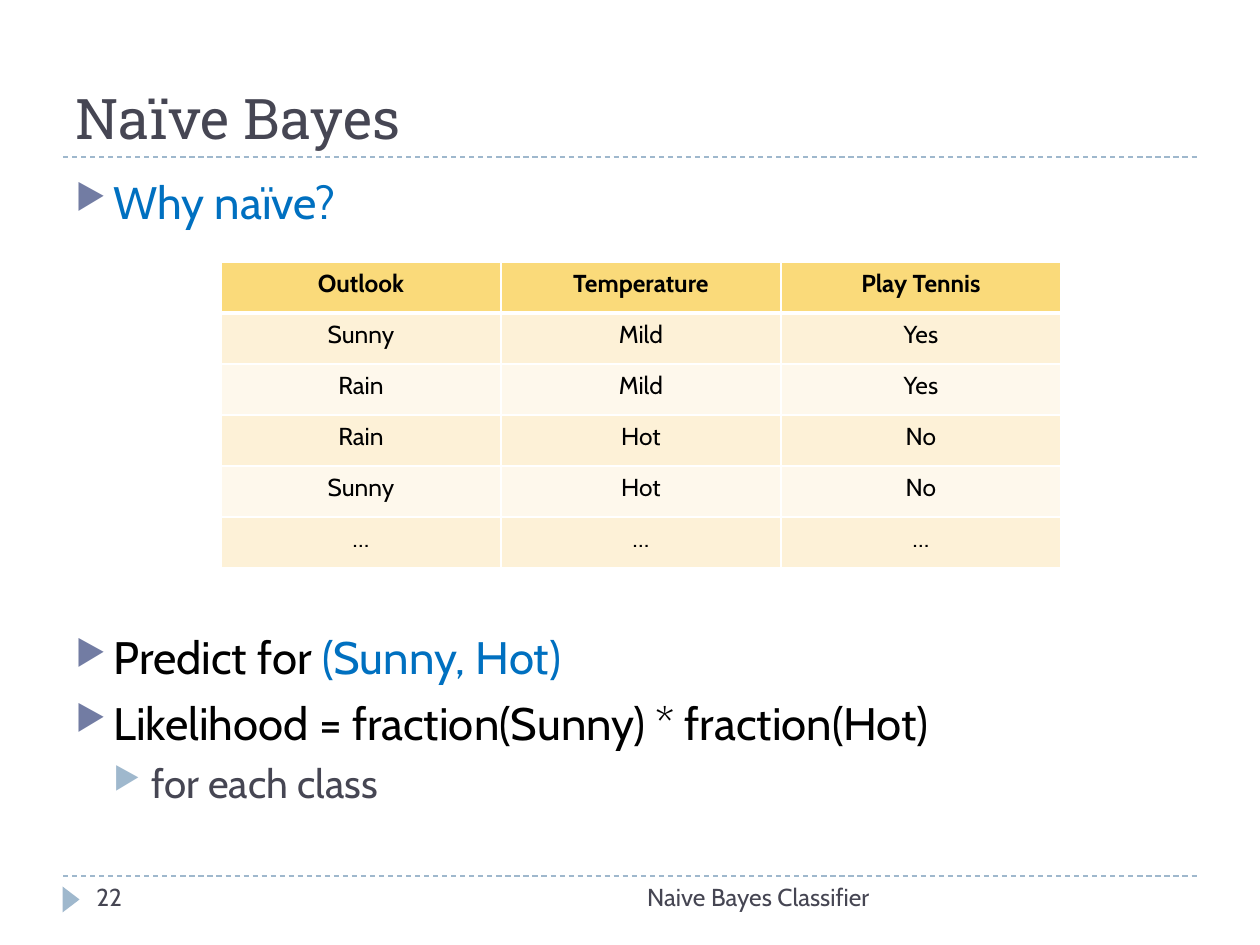
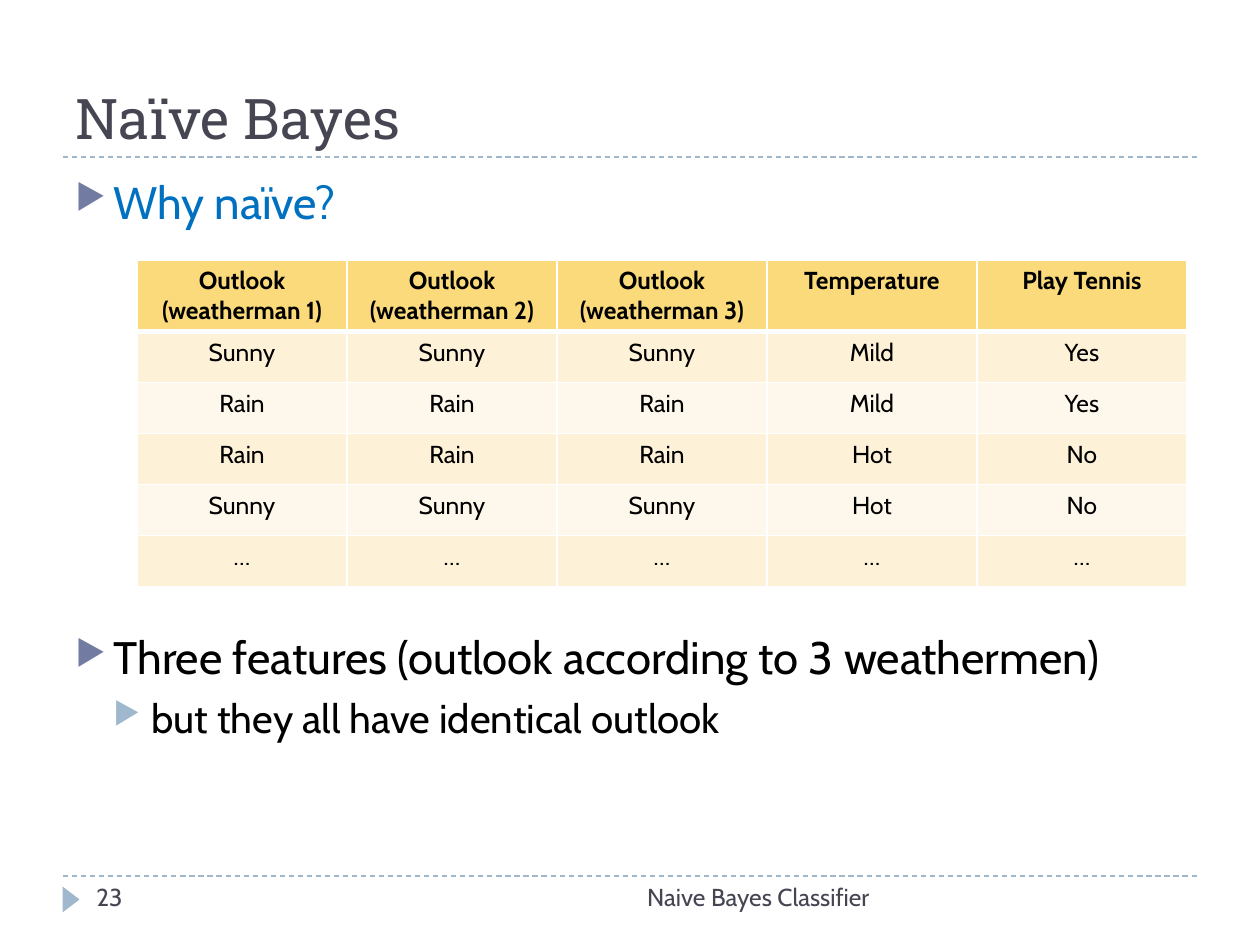
"""Two slides on why the naive Bayes classifier is called naive."""
from lxml import etree
from pptx import Presentation
from pptx.dml.color import RGBColor
from pptx.enum.dml import MSO_LINE
from pptx.enum.shapes import MSO_CONNECTOR, MSO_SHAPE
from pptx.enum.text import MSO_ANCHOR, PP_ALIGN
from pptx.oxml import parse_xml
from pptx.oxml.ns import qn
from pptx.util import Pt

LINE, DASH = MSO_CONNECTOR.STRAIGHT, MSO_LINE.DASH
TRI = MSO_SHAPE.ISOSCELES_TRIANGLE
TOP, BOTTOM = MSO_ANCHOR.TOP, MSO_ANCHOR.BOTTOM
LEFT, MID, RIGHT = PP_ALIGN.LEFT, PP_ALIGN.CENTER, PP_ALIGN.RIGHT
NS = "http://schemas.openxmlformats.org/drawingml/2006/main"
PX = 914400 / 126
HEAD, BODY = "Roboto Slab", "Cabin"
HEX = {
    "ink": "464653", "black": "000000", "blue": "0070C0", "steel": "9FB8CD",
    "slate": "727CA3", "white": "FFFFFF", "gold": "FADA7A",
    "sand": "FDF1D7", "cream": "FEF8EC",
}
COL = {name: RGBColor.from_string(code) for name, code in HEX.items()}
LEVELS = [(26, 6, "slate"), (23, 5, "steel")]
GAP = 229


def px(*nums):
    return [round(num * PX) for num in nums]


def style(font, name, size, hue, bold=False):
    font.name, font.size, font.bold = name, Pt(size), bold
    font.color.rgb = COL[hue]


pages = [
    {
        "num": "22",
        "points": [
            (0, 0, [("Why naïve?", "blue")]),
            (0, GAP, [("Predict for ", "black"), ("(Sunny, Hot)", "blue")]),
            (0, 6, [("Likelihood = fraction(Sunny) * fraction(Hot)", "black")]),
            (1, 5, [("for each class", "ink")]),
        ],
        "views": ["Outlook"],
        "spot": (221, 262), "wide": 280, "tall": 51,
    },
    {
        "num": "23",
        "points": [
            (0, 0, [("Why naïve?", "blue")]),
            (0, GAP, [("Three features (outlook according to 3 weathermen)", "black")]),
            (1, 5, [("but they all have identical outlook", "black")]),
        ],
        "views": [f"Outlook (weatherman {man})" for man in (1, 2, 3)],
        "spot": (137, 260), "wide": 210, "tall": 71,
    },
]
days = [
    ("Sunny", "Mild", "Yes"), ("Rain", "Mild", "Yes"), ("Rain", "Hot", "No"),
    ("Sunny", "Hot", "No"), ("…", "…", "…"),
]

deck = Presentation()
deck.slide_width, deck.slide_height = px(1260, 945)

for page in pages:
    slide = deck.slides.add_slide(deck.slide_layouts[6])
    shapes = slide.shapes

    for y in (876, 157):
        rule = shapes.add_connector(LINE, *px(63, y, 1197, y))
        rule.line.color.rgb = COL["steel"]
        rule.line.width = Pt(0.75)
        rule.line.dash_style = DASH
        etree.SubElement(rule.element.spPr, qn("a:effectLst"))

    mark = shapes.add_shape(TRI, *px(58, 891, 26, 17))
    mark.rotation = 90
    mark.shadow.inherit = False
    mark.fill.solid()
    mark.fill.fore_color.rgb = COL["steel"]
    mark.line.fill.background()

    for text, area, side, anchor, face, size in [
        ("Naïve Bayes", (63, 21, 1134, 136), LEFT, BOTTOM, HEAD, 32),
        ("Naive Bayes Classifier", (399, 876, 483, 50), RIGHT, TOP, BODY, 14),
        (page["num"], (84, 876, 273, 50), LEFT, TOP, BODY, 14),
    ]:
        frame = shapes.add_textbox(*px(*area)).text_frame
        frame.word_wrap = True
        frame.vertical_anchor = anchor
        frame.text = text
        para = frame.paragraphs[0]
        para.alignment = side
        style(para.runs[0].font, face, size, "ink")

    frame = shapes.add_textbox(*px(63, 168, 1134, 680)).text_frame
    frame.word_wrap = True
    for i, (level, before, parts) in enumerate(page["points"]):
        para = frame.add_paragraph() if i else frame.paragraphs[0]
        size, _, hue = LEVELS[level]
        para.level = level
        para.space_before = Pt(before)
        props = para._p.get_or_add_pPr()
        indent, = px(38)
        props.set("marL", str(indent * (level + 1)))
        props.set("indent", str(-indent))
        tint = etree.SubElement(props, qn("a:buClr"))
        etree.SubElement(tint, qn("a:srgbClr"), val=HEX[hue])
        etree.SubElement(props, qn("a:buSzPct"), val="76000")
        etree.SubElement(props, qn("a:buChar"), char="▶")
        for text, hue in parts:
            run = para.add_run()
            run.text = text
            style(run.font, BODY, size, hue)

    views = page["views"]
    rows = [views + ["Temperature", "Play Tennis"]]
    rows += [[sky] * len(views) + [heat, play] for sky, heat, play in days]
    count, wide, tall = len(rows[0]), page["wide"], page["tall"]
    area = px(*page["spot"], wide * count, tall + 51 * len(days))
    grid = shapes.add_table(len(rows), count, *area).table
    grid.horz_banding = False
    for col in grid.columns:
        col.width, = px(wide)
    for r, row in enumerate(rows):
        grid.rows[r].height, = px(51 if r else tall)
        for c, text in enumerate(row):
            cell = grid.cell(r, c)
            props = cell._tc.get_or_add_tcPr()
            for edge in "LRTB":
                thick = 3 if (r, edge) in ((0, "B"), (1, "T")) else 1
                props.append(parse_xml(
                    f'<a:ln{edge} xmlns:a="{NS}" w="{Pt(thick)}"><a:solidFill>'
                    f'<a:srgbClr val="{HEX["white"]}"/></a:solidFill></a:ln{edge}>'))
            cell.fill.solid()
            band = "sand" if r % 2 else "cream"
            cell.fill.fore_color.rgb = COL[band if r else "gold"]
            cell.text_frame.text = text
            para = cell.text_frame.paragraphs[0]
            para.alignment = MID
            style(para.runs[0].font, BODY, 14, "black", r == 0)

deck.save("out.pptx")
